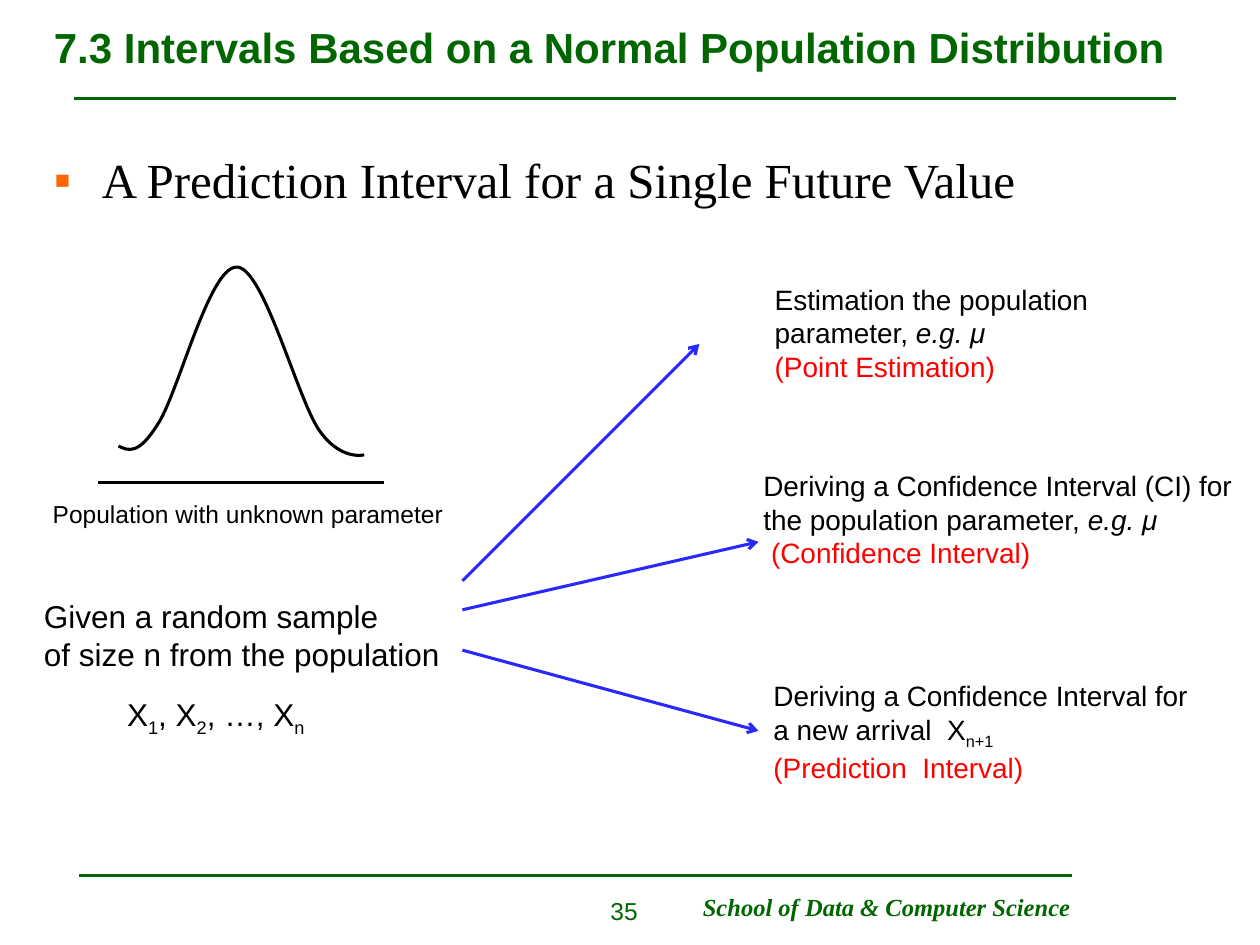
from lxml.etree import SubElement
from pptx import Presentation
from pptx.dml.color import RGBColor
from pptx.enum.shapes import MSO_CONNECTOR
from pptx.enum.text import MSO_ANCHOR, MSO_AUTO_SIZE, PP_ALIGN
from pptx.oxml.ns import qn
from pptx.util import Inches, Pt

GREEN = RGBColor(0x00, 0x66, 0x00)
ORANGE = RGBColor(0xFF, 0x66, 0x00)
BLACK = RGBColor(0x00, 0x00, 0x00)
RED = RGBColor(0xFF, 0x00, 0x00)
BLUE = RGBColor(0x29, 0x29, 0xFF)

# Anchor points and control points, three per cubic curve
BELL = [
    (0.94, 3.54),
    (1.02, 3.58), (1.1, 3.61), (1.25, 3.37),
    (1.41, 3.14), (1.66, 2.11), (1.88, 2.12),
    (2.09, 2.12), (2.36, 3.16), (2.53, 3.41),
    (2.7, 3.66), (2.89, 3.61), (2.89, 3.61),
]


class SlideBuilder:
    sans = "Arial"
    serif = "Times New Roman"

    def __init__(self, slide):
        self.slide = slide

    def text(self, box, paragraphs, size, color=BLACK, font=None, bold=False,
             italic=False, align=PP_ALIGN.LEFT, anchor=MSO_ANCHOR.TOP,
             wrap=False, bullet=None, top_inset=0.05):
        """Each paragraph is a list of (text, style) runs; "\\n" breaks a line."""
        shape = self.slide.shapes.add_textbox(*map(Inches, box))
        frame = shape.text_frame
        frame.word_wrap = wrap
        frame.auto_size = MSO_AUTO_SIZE.NONE if wrap else MSO_AUTO_SIZE.SHAPE_TO_FIT_TEXT
        frame.vertical_anchor = anchor
        frame.margin_top = Inches(top_inset)
        for index, runs in enumerate(paragraphs):
            paragraph = frame.add_paragraph() if index else frame.paragraphs[0]
            paragraph.alignment = align
            if bullet:
                self.bullet(paragraph, bullet)
            for content, style in runs:
                if content == "\n":
                    paragraph.add_line_break()
                    continue
                run = paragraph.add_run()
                run.text = content
                run.font.name = font or self.sans
                run.font.size = Pt(size)
                run.font.bold = bold
                run.font.italic = italic or style == "italic"
                run.font.color.rgb = RED if style == "red" else color
                if style == "sub":
                    run._r.get_or_add_rPr().set("baseline", "-25000")

    def bullet(self, paragraph, color, indent=0.38):
        properties = paragraph._p.get_or_add_pPr()
        properties.set("marL", str(Inches(indent)))
        properties.set("indent", str(-Inches(indent)))
        bullet_color = SubElement(properties, qn("a:buClr"))
        SubElement(bullet_color, qn("a:srgbClr"), val=str(color))
        SubElement(properties, qn("a:buFont"), typeface=self.sans)
        SubElement(properties, qn("a:buChar"), char="▪")

    def line(self, start, end, color, width, arrow=False):
        connector = self.slide.shapes.add_connector(
            MSO_CONNECTOR.STRAIGHT, *map(Inches, start + end))
        connector.line.color.rgb = color
        connector.line.width = Pt(width)
        if arrow:
            SubElement(connector.line._get_or_add_ln(), qn("a:tailEnd"), type="arrow")
        SubElement(connector._element.spPr, qn("a:effectLst"))

    def curve(self, points, color, width):
        """Draw cubic curves by regrouping a polyline's points in threes."""
        vertices = [(Inches(x), Inches(y)) for x, y in points]
        builder = self.slide.shapes.build_freeform(*vertices[0])
        builder.add_line_segments(vertices[1:], close=False)
        shape = builder.convert_to_shape()
        outline = shape._element.spPr.find(".//" + qn("a:path"))
        segments = outline.findall(qn("a:lnTo"))
        for first in range(0, len(segments), 3):
            cubic = SubElement(outline, qn("a:cubicBezTo"))
            for segment in segments[first:first + 3]:
                cubic.append(segment[0])
                outline.remove(segment)
        shape.shadow.inherit = False
        shape.fill.background()
        shape.line.color.rgb = color
        shape.line.width = Pt(width)


def main():
    presentation = Presentation()
    presentation.slide_width = Inches(10)
    presentation.slide_height = Inches(7.5)
    builder = SlideBuilder(presentation.slides.add_slide(presentation.slide_layouts[6]))

    # Title, heading and footer
    builder.line((0.59, 0.78), (9.33, 0.78), GREEN, 1.5)
    builder.line((0.63, 6.95), (8.51, 6.95), GREEN, 1.5)
    builder.text((5.48, 7.03, 3.12, 0.34), [[("School of Data & Computer Science", "")]],
                 14, GREEN, builder.serif, bold=True, italic=True)
    builder.text((0.33, 1.09, 9.34, 5.78),
                 [[("A Prediction Interval for a Single Future Value", "")]],
                 28, font=builder.serif, wrap=True, bullet=ORANGE, top_inset=0.1)
    builder.text((0.33, 0.03, 9.34, 0.68),
                 [[("7.3 Intervals Based on a Normal Population Distribution", "")]],
                 24, GREEN, bold=True, anchor=MSO_ANCHOR.MIDDLE, wrap=True)
    builder.text((4.14, 7.06, 1.02, 0.36), [[("35", "")]], 14, GREEN,
                 align=PP_ALIGN.RIGHT, wrap=True)

    # Population and sample
    builder.line((0.78, 3.83), (3.05, 3.83), BLACK, 1.75)
    builder.curve(BELL, BLACK, 1.75)
    builder.text((0.32, 3.91, 3.3, 0.34), [[("Population with unknown parameter", "")]], 14)
    builder.text((0.25, 4.69, 3.34, 0.7),
                 [[("Given a random sample", ""), ("\n", ""),
                   ("of size n from the population", "")]], 18)
    builder.text((0.91, 5.47, 1.61, 0.44),
                 [[("X", ""), ("1", "sub"), (", X", ""), ("2", "sub"),
                   (", …, X", ""), ("n", "sub")]], 18)

    # Three uses of the sample
    uses = [
        ((6.05, 2.19, 3.09, 0.9), True, (3.67, 4.61), (5.55, 2.73),
         [[("Estimation the population", "")],
          [("parameter, ", ""), ("e.g. μ", "italic")],
          [("(Point Estimation)", "red")]]),
        ((5.96, 3.67, 3.98, 0.9), False, (3.67, 4.84), (6.02, 4.3),
         [[("Deriving a Confidence Interval (CI) for", "")],
          [("the population parameter, ", ""), ("e.g. μ", "italic")],
          [(" (Confidence Interval)", "red")]]),
        ((6.04, 5.34, 3.55, 0.94), False, (3.67, 5.16), (6.02, 5.8),
         [[("Deriving a Confidence Interval for", "")],
          [("a new arrival  X", ""), ("n+1", "sub")],
          [("(Prediction  Interval)", "red")]]),
    ]
    for box, wrap, start, end, paragraphs in uses:
        builder.text(box, paragraphs, 16, wrap=wrap)
        builder.line(start, end, BLUE, 1.75, arrow=True)

    presentation.save("out.pptx")


if __name__ == "__main__":
    main()
